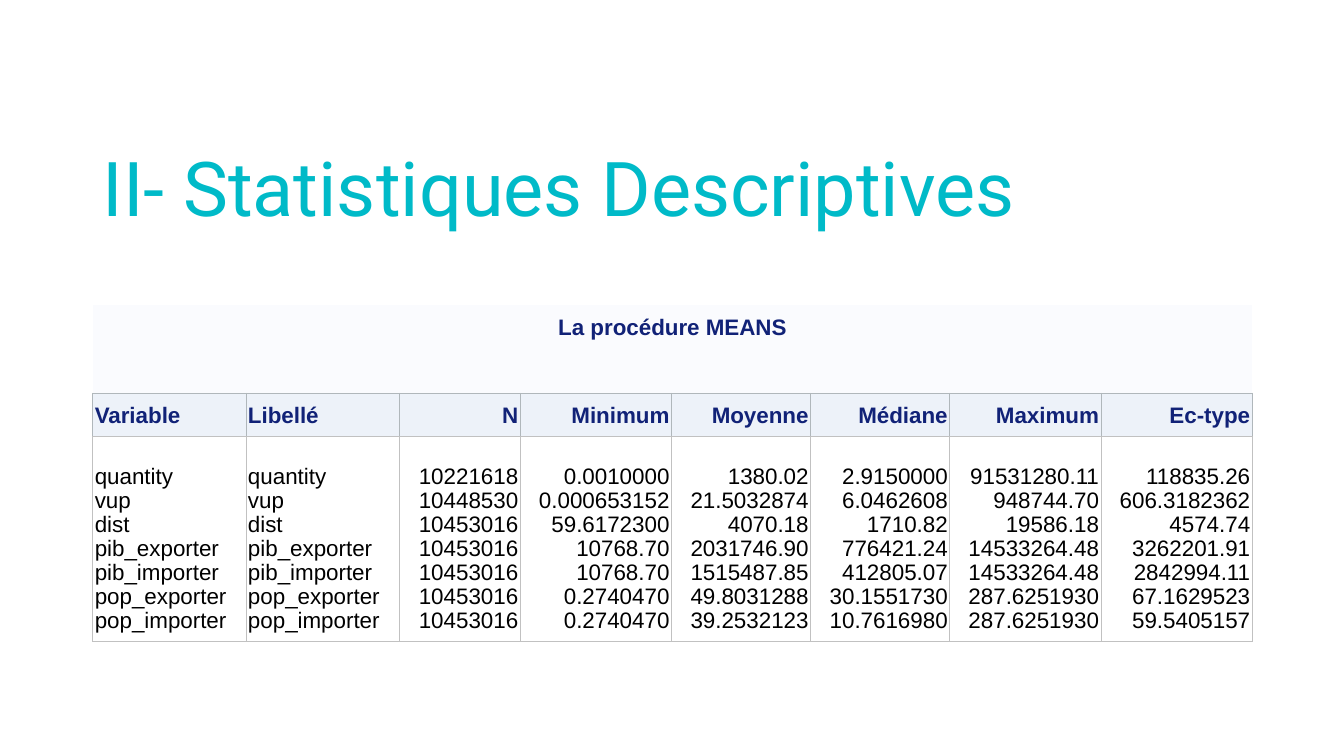
from pptx import Presentation
from pptx.dml.color import RGBColor
from pptx.enum.text import MSO_ANCHOR, PP_ALIGN
from pptx.oxml.ns import qn
from pptx.util import Inches, Pt
from lxml.etree import SubElement

TITLE = "II- Statistiques Descriptives"
PROCEDURE = "La procédure MEANS"
HEADERS = ["Variable", "Libellé", "N", "Minimum", "Moyenne", "Médiane", "Maximum", "Ec-type"]
STATISTICS = [
    ("quantity", "10221618", "0.0010000", "1380.02", "2.9150000", "91531280.11", "118835.26"),
    ("vup", "10448530", "0.000653152", "21.5032874", "6.0462608", "948744.70", "606.3182362"),
    ("dist", "10453016", "59.6172300", "4070.18", "1710.82", "19586.18", "4574.74"),
    ("pib_exporter", "10453016", "10768.70", "2031746.90", "776421.24", "14533264.48", "3262201.91"),
    ("pib_importer", "10453016", "10768.70", "1515487.85", "412805.07", "14533264.48", "2842994.11"),
    ("pop_exporter", "10453016", "0.2740470", "49.8031288", "30.1551730", "287.6251930", "67.1629523"),
    ("pop_importer", "10453016", "0.2740470", "39.2532123", "10.7616980", "287.6251930", "59.5405157"),
]
COLUMN_WIDTHS = [1.52, 1.52, 1.2, 1.5, 1.38, 1.38, 1.5, 1.5]
ROW_HEIGHTS = [0.43, 0.44, 0.43, 2.03]
LEFT, WIDTH = 0.92, 11.5
TEAL, NAVY, BLACK = "00BAC8", "112277", "000000"
CAPTION_FILL, HEADER_FILL, BODY_FILL = "FAFBFE", "EDF2F9", "FFFFFF"
BLUE_GREY, GREY = "B0B7BB", "C1C1C1"


def color(value):
    return RGBColor.from_string(value)


def write(text_frame, text, font, size, text_color, bold=False, align=PP_ALIGN.LEFT, spacing=None):
    paragraph = text_frame.paragraphs[0]
    paragraph.text = text
    paragraph.alignment = align
    paragraph.line_spacing = spacing
    for run in paragraph.runs:
        run.font.name = font
        run.font.size = Pt(size)
        run.font.bold = bold
        run.font.color.rgb = color(text_color)


def set_borders(cell, left=None, right=None, top=None, bottom=None):
    properties = cell._tc.get_or_add_tcPr()
    sides = (("a:lnL", left), ("a:lnR", right), ("a:lnT", top), ("a:lnB", bottom))
    for index, (tag, line_color) in enumerate(sides):
        line = SubElement(properties, qn(tag), w=str(Pt(0.5)))
        if line_color:
            fill = SubElement(line, qn("a:solidFill"))
            SubElement(fill, qn("a:srgbClr"), val=line_color)
        else:
            SubElement(line, qn("a:noFill"))
        properties.insert(index, line)


def style_cell(cell, fill, **borders):
    cell.fill.solid()
    cell.fill.fore_color.rgb = color(fill)
    set_borders(cell, **borders)


def fill_cell(cell, text, text_color, bold, align):
    cell.vertical_anchor = MSO_ANCHOR.BOTTOM
    cell.margin_left = cell.margin_right = cell.margin_top = Inches(0.02)
    cell.margin_bottom = Inches(0.08)
    write(cell.text_frame, text, "Arial", 16, text_color, bold, align, 0.96)


def add_title(slide):
    box = slide.shapes.add_textbox(Inches(LEFT), Inches(0.4), Inches(WIDTH), Inches(1.96))
    box.text_frame.word_wrap = True
    box.text_frame.vertical_anchor = MSO_ANCHOR.BOTTOM
    write(box.text_frame, TITLE, "Roboto", 54, TEAL, spacing=0.9)


def add_statistics(slide):
    frame = slide.shapes.add_table(
        len(ROW_HEIGHTS), len(HEADERS),
        Inches(LEFT), Inches(3.03), Inches(WIDTH), Inches(sum(ROW_HEIGHTS)))
    table = frame.table
    table.first_row = table.horz_banding = False
    for row, height in zip(table.rows, ROW_HEIGHTS):
        row.height = Inches(height)
    table.cell(0, 0).merge(table.cell(0, len(HEADERS) - 1))
    fill_cell(table.cell(0, 0), PROCEDURE, NAVY, True, PP_ALIGN.CENTER)

    names, *measures = zip(*STATISTICS)
    values = [names, names, *measures]
    for index, (header, lines, width) in enumerate(zip(HEADERS, values, COLUMN_WIDTHS)):
        table.columns[index].width = Inches(width)
        caption, spacer, heading, body = [table.cell(row, index) for row in range(4)]
        style_cell(caption, CAPTION_FILL)
        style_cell(spacer, CAPTION_FILL, bottom=BLUE_GREY)
        style_cell(heading, HEADER_FILL, left=BLUE_GREY, right=BLUE_GREY, top=BLUE_GREY, bottom=GREY)
        style_cell(body, BODY_FILL, left=GREY, right=GREY, top=GREY, bottom=GREY)
        align = PP_ALIGN.LEFT if index < 2 else PP_ALIGN.RIGHT
        fill_cell(heading, header, NAVY, True, align)
        fill_cell(body, "\n".join(lines), BLACK, False, align)


def main():
    presentation = Presentation()
    presentation.slide_width = Inches(13.33)
    presentation.slide_height = Inches(7.5)
    slide = presentation.slides.add_slide(presentation.slide_layouts[6])
    add_title(slide)
    add_statistics(slide)
    presentation.save("out.pptx")


if __name__ == "__main__":
    main()
